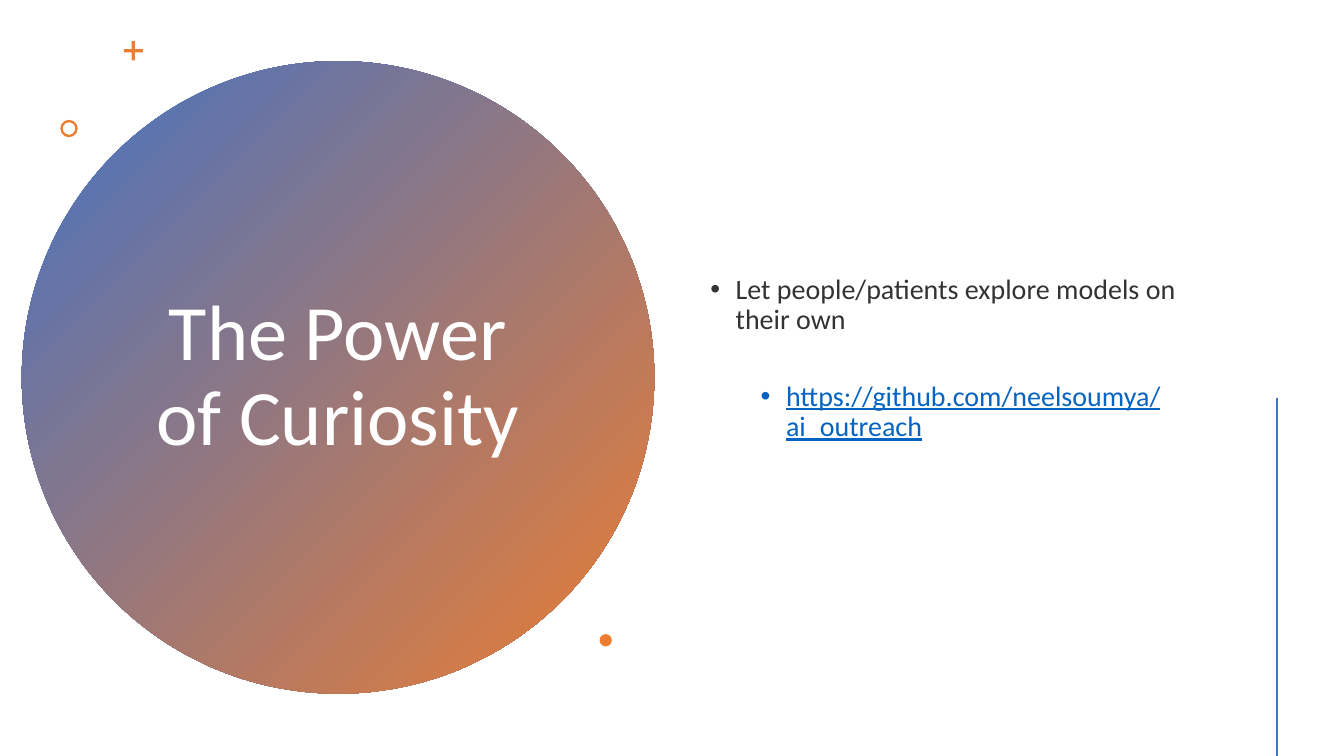
from pptx import Presentation
from pptx.dml.color import RGBColor
from pptx.enum.shapes import MSO_CONNECTOR as Link, MSO_SHAPE as Kind
from pptx.enum.text import MSO_ANCHOR as Anchor, MSO_AUTO_SIZE as Fit, PP_ALIGN as Align
from pptx.oxml.ns import qn
from pptx.util import Cm, Pt
from lxml.etree import SubElement as Sub

FONT = "Calibri"
BLUE, ORANGE, WHITE = "4472C4", "ED7D31", "FFFFFF"
DARK, LINK = "333333", "0563C1"


def rgb(code):
    return RGBColor.from_string(code)


def style(run, size, color):
    run.font.name = FONT
    run.font.size = Pt(size)
    run.font.color.rgb = rgb(color)


def add_mark(slide, kind, left, top, size, adjust=None):
    mark = slide.shapes.add_shape(kind, Cm(left), Cm(top), Cm(size), Cm(size))
    mark.shadow.inherit = False
    mark.fill.solid()
    mark.fill.fore_color.rgb = rgb(ORANGE)
    mark.line.fill.background()
    if adjust is not None:
        mark.adjustments[0] = adjust
    return mark


def add_disc(slide):
    disc = add_mark(slide, Kind.OVAL, 0.55, 1.54, 15.94)
    disc.fill.gradient()
    disc.fill.gradient_angle = 315
    for stop, color in zip(disc.fill.gradient_stops, (BLUE, ORANGE)):
        stop.color.rgb = rgb(color)
    return disc


def set_title(slide, disc, text):
    title = slide.shapes.title
    disc.element.addnext(title.element)  # title goes in front of the disc
    title.left, title.top = Cm(3.45), Cm(3.58)
    title.width, title.height = Cm(10.13), Cm(11.86)
    frame = title.text_frame
    frame.text = text
    frame.word_wrap = True
    frame.auto_size = Fit.NONE
    frame.vertical_anchor = Anchor.MIDDLE
    par = frame.paragraphs[0]
    par.alignment = Align.CENTER
    par.line_spacing = 0.9
    style(par.runs[0], 56, WHITE)


def set_bullet(par, level, indent):
    par.level = level
    props = par._p.get_or_add_pPr()
    props.set("marL", str(Cm(indent)))
    props.set("indent", str(-Cm(0.64)))
    Sub(props, qn("a:buFont")).set("typeface", "Arial")
    Sub(props, qn("a:buChar")).set("char", "•")


def add_list(slide, items):
    box = slide.shapes.add_textbox(Cm(17.5), Cm(1.45), Cm(13.26), Cm(16.21))
    frame = box.text_frame
    frame.word_wrap = True
    frame.vertical_anchor = Anchor.MIDDLE
    frame.margin_bottom = Cm(1.14)
    frame.text = "\n".join(text for text, *_ in items)
    for par, (_, level, indent, color, before) in zip(frame.paragraphs, items):
        par.line_spacing = 0.9
        par.space_before = Pt(before)
        par.space_after = Pt(6)
        set_bullet(par, level, indent)
        run = par.runs[0]
        style(run, 20, color)
        run.font.underline = color == LINK


def add_line(slide, left, top, end):
    line = slide.shapes.add_connector(Link.STRAIGHT, Cm(left), Cm(top), Cm(left), Cm(end))
    line.line.color.rgb = rgb(BLUE)
    line.line.width = Pt(2)
    Sub(line.element.spPr, qn("a:effectLst"))


def main():
    deck = Presentation()
    deck.slide_width, deck.slide_height = Cm(33.87), Cm(19.05)
    slide = deck.slides.add_slide(deck.slide_layouts[5])

    # Disc with the title
    disc = add_disc(slide)
    set_title(slide, disc, "The Power of Curiosity")

    # Small marks around the disc
    add_mark(slide, Kind.CROSS, 3.12, 1.04, 0.48, 0.42)
    add_mark(slide, Kind.DONUT, 1.52, 3.02, 0.44, 0.14)
    add_mark(slide, Kind.OVAL, 15.11, 15.98, 0.31)

    # Bullets: text, level, indent, colour, space before
    add_list(slide, [
        ("Let people/patients explore models on their own", 0, 0.79, DARK, 0),
        ("https://github.com/neelsoumya/ai_outreach", 1, 2.06, LINK, 27),
    ])

    # Rule at the right edge
    add_line(slide, 32.18, 10.03, 19.05)
    deck.save("out.pptx")


if __name__ == "__main__":
    main()
